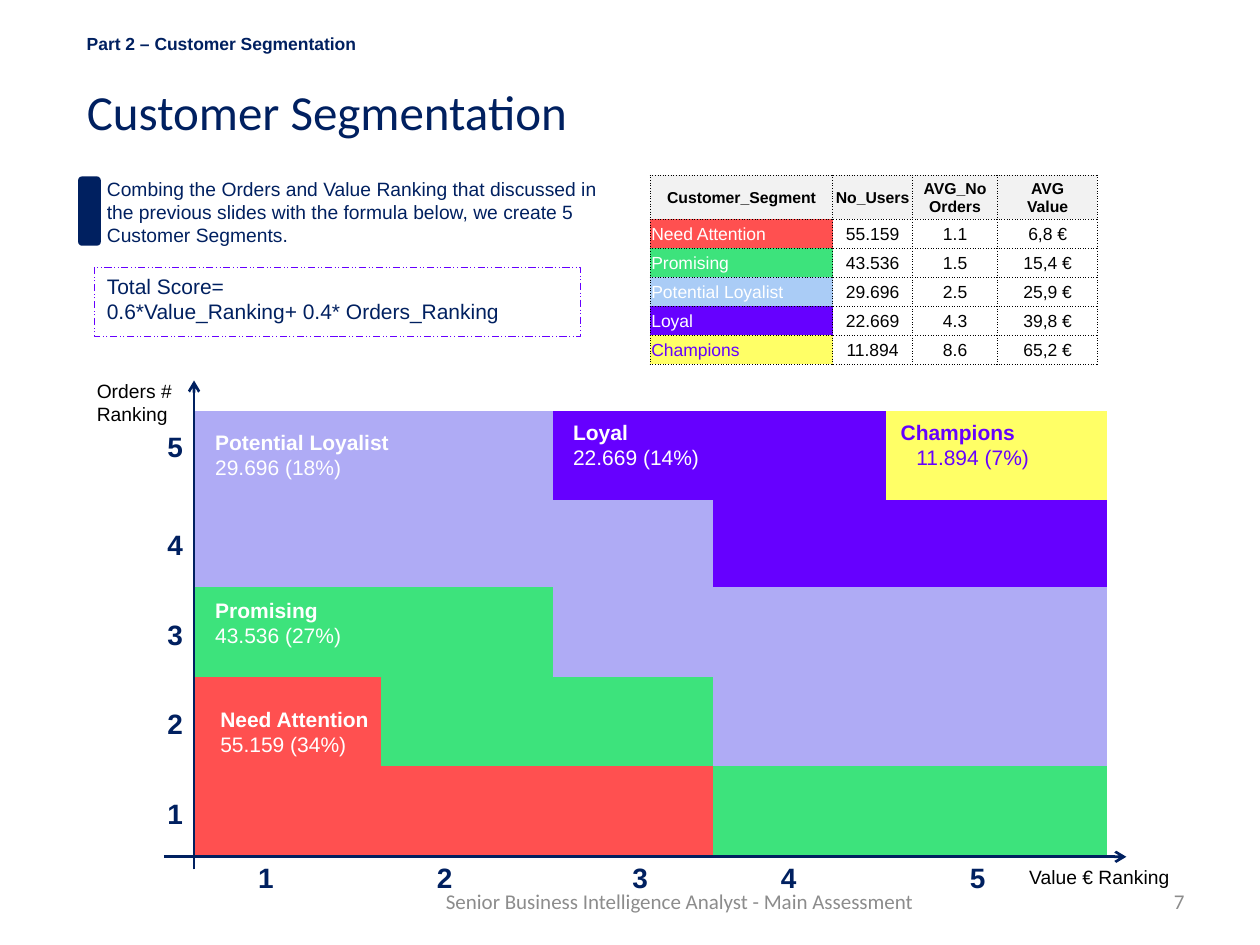
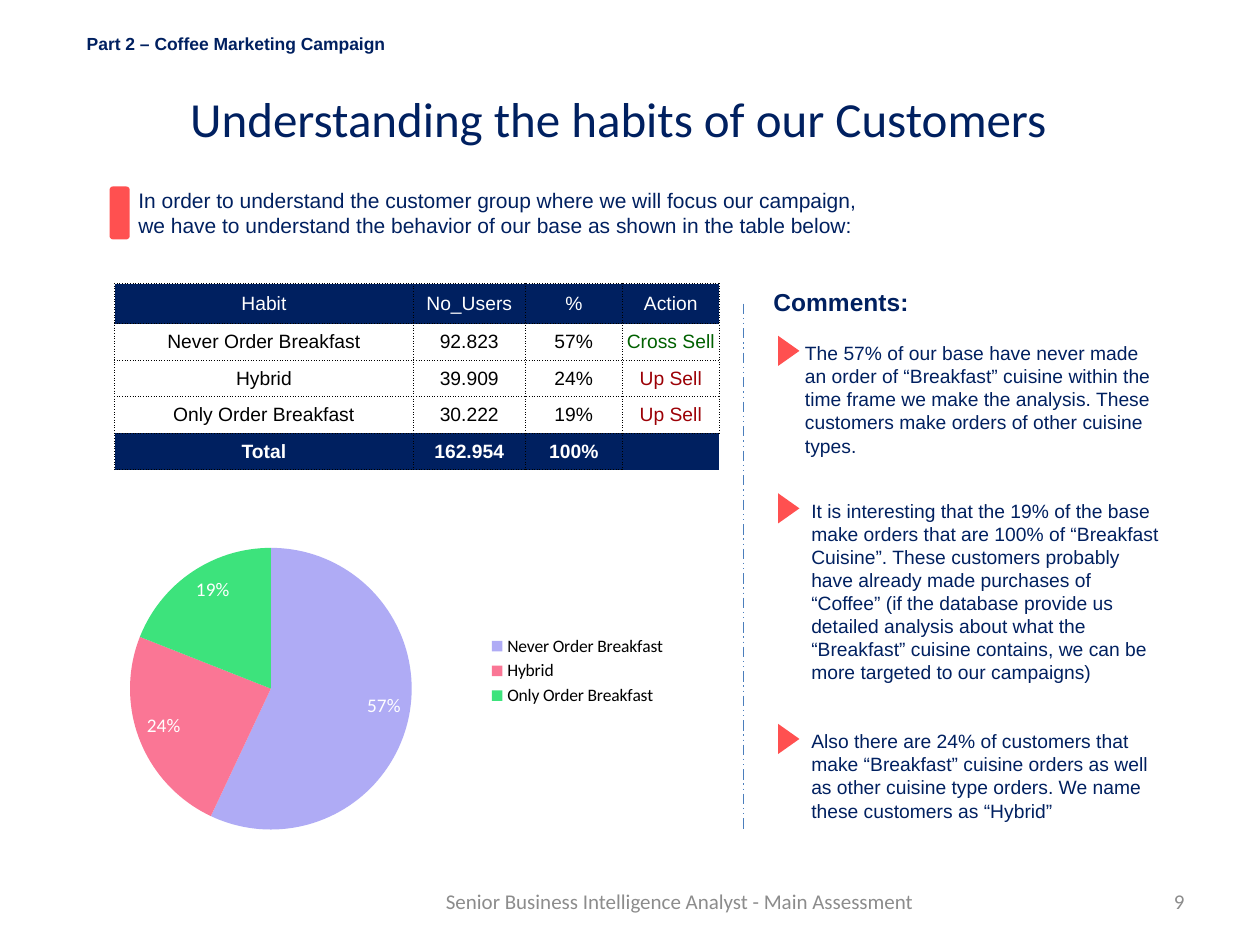
import pptx
import pptx.util
from lxml import etree
from pptx.chart.data import CategoryChartData
from pptx.dml.color import RGBColor
from pptx.enum.chart import XL_CHART_TYPE, XL_LABEL_POSITION, XL_LEGEND_POSITION
from pptx.enum.dml import MSO_LINE
from pptx.enum.shapes import MSO_CONNECTOR, MSO_SHAPE
from pptx.enum.text import MSO_ANCHOR, MSO_AUTO_SIZE, PP_ALIGN
from pptx.oxml.ns import qn
from pptx.util import Inches, Pt

NAVY, RED, GREEN, LILAC = "002060", "FF5050", "3DE37C", "AFABF5"
VIOLET, YELLOW, PINK, SKY = "6600FF", "FFFF66", "FA7695", "AACCF6"
WHITE, BLACK, GREY, PALE = "FFFFFF", "000000", "8C8C8C", "F2F2F2"
CENTER, RIGHT = PP_ALIGN.CENTER, PP_ALIGN.RIGHT
FOOTER = "Senior Business Intelligence Analyst - Main Assessment"
NO_STYLE = "{2D5ABB26-0587-4C30-8999-92F81FD0307C}"


def rgb(value):
    return RGBColor.from_string(value)


def box(*lengths):
    return [Inches(n) for n in lengths]


def write(tf, text, **fmt):
    """Fill a text frame; text is a string or a list of (line, overrides)."""
    lines = [(t, {}) for t in text.split("\n")] if isinstance(text, str) else text
    for i, (line, extra) in enumerate(lines):
        f = {"size": 11, "font": "Arial", "color": NAVY, "bold": False, "align": None}
        f.update(fmt, **extra)
        p = tf.paragraphs[0] if i == 0 else tf.add_paragraph()
        p.alignment = f["align"]
        r = p.add_run()
        r.text = line
        r.font.size, r.font.name, r.font.bold = Pt(f["size"]), f["font"], f["bold"]
        r.font.color.rgb = rgb(f["color"])


def add_text(s, x, y, w, h, text, anchor=MSO_ANCHOR.TOP, wrap=True, **fmt):
    tf = s.shapes.add_textbox(*box(x, y, w, h)).text_frame
    tf.word_wrap = wrap
    tf.vertical_anchor = anchor
    write(tf, text, **fmt)


def add_block(s, kind, x, y, w, h, fill=None, rotation=0):
    sp = s.shapes.add_shape(kind, *box(x, y, w, h))
    sp.shadow.inherit = False
    sp.rotation = rotation
    sp.line.fill.background()
    if fill:
        sp.fill.solid()
        sp.fill.fore_color.rgb = rgb(fill)
    else:
        sp.fill.background()
    return sp


def style_line(line, color, width, dash=None):
    line.color.rgb = rgb(color)
    line.width = Pt(width)
    if dash:
        line.dash_style = dash


def add_line(s, x1, y1, x2, y2, color, width, dash=None, arrow=False):
    c = s.shapes.add_connector(MSO_CONNECTOR.STRAIGHT, *box(x1, y1, x2, y2))
    style_line(c.line, color, width, dash)
    if arrow:
        etree.SubElement(c.line._get_or_add_ln(), qn("a:tailEnd"), type="arrow")
    etree.SubElement(c._element.spPr, qn("a:effectLst"))


def dot_borders(cell, sides="LRTB"):
    tc_pr = cell._tc.get_or_add_tcPr()
    for i, side in enumerate(sides):
        ln = etree.Element(qn("a:ln" + side), w=str(Pt(0.5)))
        fill = etree.SubElement(ln, qn("a:solidFill"))
        etree.SubElement(fill, qn("a:srgbClr"), val=BLACK)
        etree.SubElement(ln, qn("a:prstDash"), val="sysDot")
        tc_pr.insert(i, ln)


def add_grid(s, x, y, widths, heights):
    """Add a table without style, sized by its columns and rows."""
    frame = s.shapes.add_table(len(heights), len(widths),
                               *box(x, y, sum(widths), sum(heights)))
    table = frame.table
    table.first_row = table.horz_banding = False
    table._tbl.tblPr.find(qn("a:tableStyleId")).text = NO_STYLE
    for column, w in zip(table.columns, widths):
        column.width = Inches(w)
    for row, h in zip(table.rows, heights):
        row.height = Inches(h)
    return table


def fill_cell(cell, color=None):
    if color:
        cell.fill.solid()
        cell.fill.fore_color.rgb = rgb(color)
    else:
        cell.fill.background()


def data_table(s, x, y, widths, heights, rows, style, inset):
    """Add a dotted table; style(row, col) gives a cell's fill and format."""
    table = add_grid(s, x, y, widths, heights)
    for i, row in enumerate(rows):
        for j, text in enumerate(row):
            cell = table.cell(i, j)
            fill, fmt = style(i, j)
            fill_cell(cell, fill)
            cell.vertical_anchor = MSO_ANCHOR.MIDDLE
            cell.margin_left = cell.margin_right = cell.margin_top = Inches(inset)
            cell.margin_bottom = 0
            if text:
                write(cell.text_frame, text, **fmt)
                dot_borders(cell)
            else:
                etree.SubElement(cell.text_frame.paragraphs[0]._p,
                                 qn("a:endParaRPr"), sz="1100")
                dot_borders(cell, "LT")


def add_slide(prs, part, title, number, title_x, title_y):
    """Add a slide with the shared section label, title and footer."""
    s = prs.slides.add_slide(prs.slide_layouts[5])
    sp = s.shapes.title
    sp.left, sp.top, sp.width, sp.height = box(title_x, title_y, 7.56, 0.57)
    tf = sp.text_frame
    tf.auto_size = MSO_AUTO_SIZE.NONE
    tf.vertical_anchor = MSO_ANCHOR.TOP
    write(tf, title, size=28, font="Calibri", align=PP_ALIGN.LEFT)
    foot = {"anchor": MSO_ANCHOR.MIDDLE, "size": 12, "font": "Calibri", "color": GREY}
    add_text(s, 7.17, 6.95, 2.33, 0.4, str(number), align=RIGHT, **foot)
    add_text(s, 3.42, 6.95, 3.95, 0.4, FOOTER, align=CENTER, **foot)
    add_text(s, 0.59, 0.21, 3.86, 0.27, f"Part 2 – {part}", size=10, bold=True)
    return s


def callout(s, x, y, w, h, text, bar_w, bar_h, color, size):
    """Add a paragraph with a rounded bar at its left."""
    add_text(s, x, y, w, h, text, size=size)
    add_block(s, MSO_SHAPE.ROUNDED_RECTANGLE, x - 0.13, y + 0.04, bar_w, bar_h, color)


def formula(s, x, y, w, h):
    add_text(s, x, y, w, h, "Total Score=\n0.6*Value_Ranking+ 0.4* Orders_Ranking", size=12)
    frame = add_block(s, MSO_SHAPE.RECTANGLE, x, y, w, h)
    style_line(frame.line, VIOLET, 0.5, MSO_LINE.DASH_DOT_DOT)


def segment_table(s, x, y):
    rows = [
        ("Customer_Segment", "No_Users", "AVG_No\nOrders", "AVG\nValue"),
        ("Need Attention", "55.159", "1.1", "6,8 €"),
        ("Promising", "43.536", "1.5", "15,4 €"),
        ("Potential Loyalist", "29.696", "2.5", "25,9 €"),
        ("Loyal", "22.669", "4.3", "39,8 €"),
        ("Champions", "11.894", "8.6", "65,2 €"),
    ]
    fills = [PALE, RED, GREEN, SKY, VIOLET, YELLOW]

    def style(i, j):
        if i == 0:
            return PALE, {"size": 9, "bold": True, "color": BLACK, "align": CENTER}
        if j == 0:
            return fills[i], {"size": 10, "color": VIOLET if fills[i] == YELLOW else WHITE}
        return WHITE, {"size": 10, "color": BLACK, "align": CENTER}

    data_table(s, x, y, [1.45, 0.63, 0.68, 0.79], [0.35] + [0.23] * 5, rows, style, 0.01)


def segment_map(s, x, y):
    """Draw the ranking grid with its axes, labels and segment names."""
    widths, heights = [1.48, 1.37, 1.27, 1.37, 1.76], [0.71, 0.69, 0.71, 0.71, 0.71]
    fills = {"L": LILAC, "V": VIOLET, "Y": YELLOW, "G": GREEN, "R": RED}
    table = add_grid(s, x, y, widths, heights)
    for i, row in enumerate(["LLVVY", "LLLVV", "GGLLL", "RGGLL", "RRRGG"]):
        for j, key in enumerate(row):
            fill_cell(table.cell(i, j), fills[key])

    bottom = y + 3.54
    add_line(s, x - 0.24, bottom, x + 7.4, bottom, NAVY, 1.5, arrow=True)
    add_line(s, x, bottom + 0.1, x, y - 0.24, NAVY, 1.5, arrow=True)
    ticks = zip([0.41, 1.83, 3.38, 4.56, 6.06], [3.01, 2.3, 1.59, 0.88, 0.1])
    for rank, (dx, dy) in enumerate(ticks, 1):
        for tick_x, tick_y in [(x + dx, bottom - 0.02), (x - 0.31, y + dy)]:
            add_text(s, tick_x, tick_y, 0.47, 0.37, str(rank), size=16, bold=True)
    add_text(s, x + 6.53, bottom + 0.02, 1.5, 0.29, "Value € Ranking", color=BLACK)
    add_text(s, x - 0.87, y - 0.3, 0.87, 0.47, "Orders # Ranking", color=BLACK)

    segments = [
        (2.91, 0.02, 1.42, "Loyal", "22.669 (14%)", WHITE, None),
        (0.07, 0.1, 1.73, "Potential Loyalist", "29.696 (18%)", WHITE, None),
        (0.07, 1.43, 1.57, "Promising", "43.536 (27%)", WHITE, None),
        (0.11, 2.3, 1.39, "Need Attention", "55.159 (34%)", WHITE, None),
        (5.51, 0.02, 1.34, "Champions", "11.894 (7%)", VIOLET, CENTER),
    ]
    for dx, dy, w, name, users, color, align in segments:
        add_text(s, x + dx, y + dy, w, 0.5,
                 [(name, {"bold": True}), (users, {"align": align})],
                 size=12, color=color)


def habit_table(s, x, y):
    rows = [
        ("Habit", "No_Users", "%", "Action"),
        ("Never Order Breakfast", "92.823", "57%", "Cross Sell"),
        ("Hybrid", "39.909", "24%", "Up Sell"),
        ("Only Order Breakfast", "30.222", "19%", "Up Sell"),
        ("Total", "162.954", "100%", ""),
    ]
    actions = {"Cross Sell": "006100", "Up Sell": "9C0006"}

    def style(i, j):
        if i in (0, 4):
            return NAVY, {"color": WHITE, "bold": i == 4, "align": CENTER}
        return None, {"color": actions.get(rows[i][j], BLACK), "align": CENTER}

    data_table(s, x, y, [2.37, 0.89, 0.77, 0.77], [0.32] + [0.29] * 4, rows, style, 0)


def habit_pie(s, x, y, w, h):
    data = CategoryChartData(number_format="0%")
    data.categories = ["Never Order Breakfast", "Hybrid", "Only Order Breakfast"]
    data.add_series("Series 1", [0.57, 0.24, 0.19])
    chart = s.shapes.add_chart(XL_CHART_TYPE.PIE, *box(x, y, w, h), data).chart
    chart.has_title = False
    chart.font.size, chart.font.name = Pt(10), "Calibri"
    chart.font.color.rgb = rgb(BLACK)
    chart.has_legend = True
    chart.legend.position = XL_LEGEND_POSITION.RIGHT
    chart.legend.include_in_layout = False
    plot = chart.plots[0]
    plot.vary_by_categories = True
    for i, color in enumerate([LILAC, PINK, GREEN]):
        fill = plot.series[0].points[i].format.fill
        fill.solid()
        fill.fore_color.rgb = rgb(color)
    plot.has_data_labels = True
    labels = plot.data_labels
    labels.show_value, labels.show_percentage = True, False
    labels.number_format, labels.number_format_is_linked = "0%", False
    labels.position = XL_LABEL_POSITION.INSIDE_END
    labels.font.size, labels.font.name = Pt(11), "Calibri"
    labels.font.color.rgb = rgb(WHITE)

    area = chart._chartSpace.chart.plotArea
    for old in area.findall(qn("c:layout")):
        area.remove(old)
    layout = etree.Element(qn("c:layout"))
    manual = etree.SubElement(layout, qn("c:manualLayout"))
    settings = [("layoutTarget", "inner"), ("xMode", "edge"), ("yMode", "edge"),
                ("x", "0.09"), ("y", "0.19"), ("w", "0.47"), ("h", "0.71")]
    for tag, val in settings:
        etree.SubElement(manual, qn("c:" + tag), val=val)
    area.insert(0, layout)


def comments(s, x, y):
    add_line(s, x - 0.14, y + 0.18, x - 0.14, y + 4.35, "4B7EBC", 0.75,
             MSO_LINE.DASH_DOT_DOT)
    add_text(s, x, y, 1.28, 0.34, "Comments:", wrap=False, size=14, bold=True)
    notes = [
        (0.25, 0.43, 1.03, "The 57% of our base have never made an order of “Breakfast” cuisine "
         "within the time frame we make the analysis. These customers make orders of "
         "other cuisine types."),
        (0.3, 1.68, 1.58, "It is interesting that the 19% of the base make orders that are 100% "
         "of “Breakfast Cuisine”. These customers probably have already made purchases of "
         "“Coffee” (if the database provide us detailed analysis about what the “Breakfast” "
         "cuisine contains, we can be more targeted to our campaigns)"),
        (0.3, 3.51, 0.84, "Also there are 24% of customers that make “Breakfast” cuisine orders "
         "as well as other cuisine type orders. We name these customers as “Hybrid”"),
    ]
    for dx, dy, h, note in notes:
        add_text(s, x + dx, y + dy, 2.99, h, note)
        add_block(s, MSO_SHAPE.ISOSCELES_TRIANGLE, x + 0.1, y + dy + 0.04, 0.24, 0.17, RED, 90)


def main():
    prs = pptx.Presentation()
    prs.slide_width, prs.slide_height = box(10, 7.5)

    s = add_slide(prs, "Customer Segmentation", "Customer Segmentation", 7, 0.59, 0.6)
    segment_map(s, 1.54, 3.26)
    segment_table(s, 5.16, 1.39)
    formula(s, 0.75, 2.12, 3.86, 0.55)
    callout(s, 0.75, 1.36, 4.17, 0.66,
            "Combing the Orders and Value Ranking that discussed in the previous slides "
            "with the formula below, we create 5 Customer Segments.", 0.18, 0.55, NAVY, 11)

    s = add_slide(prs, "Coffee Marketing Campaign",
                  "Understanding the habits of our Customers", 9, 1.41, 0.65)
    habit_pie(s, 0.59, 3.75, 4.8, 3.15)
    habit_table(s, 0.91, 2.25)
    callout(s, 1, 1.44, 6.06, 0.5,
            "In order to understand the customer group where we will focus our campaign, "
            "we have to understand the behavior of our base as shown in the table below:",
            0.16, 0.42, RED, 12)
    comments(s, 6.04, 2.23)
    prs.save("out.pptx")


if __name__ == "__main__":
    main()
